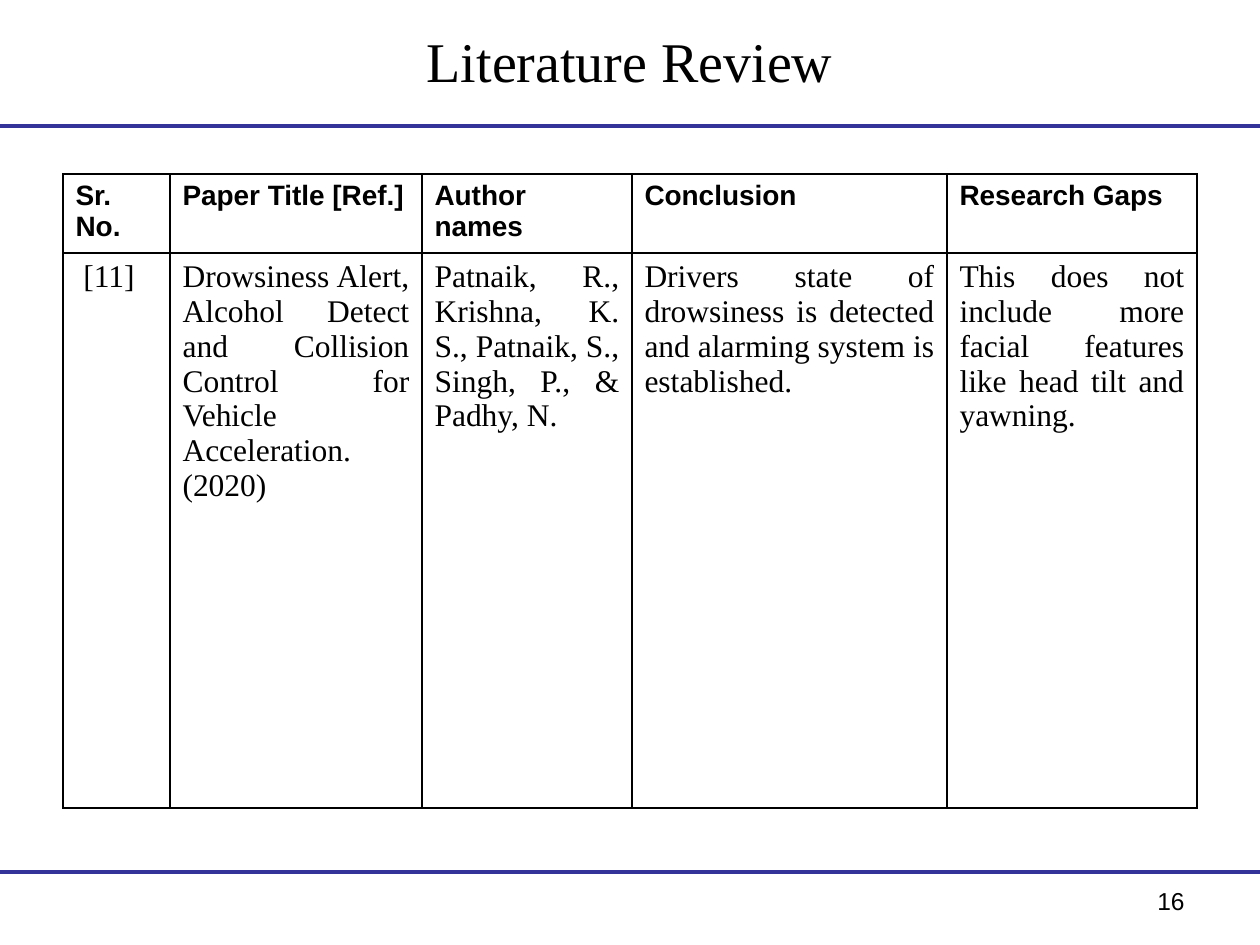
from lxml.etree import SubElement
from pptx import Presentation
from pptx.dml.color import RGBColor
from pptx.enum.shapes import MSO_CONNECTOR
from pptx.enum.text import MSO_ANCHOR, PP_ALIGN
from pptx.oxml.ns import qn
from pptx.util import Pt

PX = 914400 / 126
WIDE, HIGH = 1260, 945
BLACK = RGBColor(0x00, 0x00, 0x00)
WHITE = RGBColor(0xFF, 0xFF, 0xFF)
BLUE = RGBColor(0x33, 0x33, 0x99)
SERIF, SANS = "Times New Roman", "Arial"

COLS = [107, 252, 210, 315, 250]
ROWS = [79, 555]
HEADS = ["Sr. No.", "Paper Title [Ref.]", "Author names", "Conclusion", "Research Gaps"]
PAPER = [
    " [11]",
    "Drowsiness Alert, Alcohol Detect and Collision Control for Vehicle Acceleration. (2020)",
    "Patnaik, R., Krishna, K. S., Patnaik, S., Singh, P., & Padhy, N. ",
    "Drivers state of drowsiness is detected and alarming system is established.",
    "This does not include more facial features like head tilt and yawning.",
]


def emu(px):
    return round(px * PX)


def write(frame, text, size=18, font=SERIF, bold=False, align=PP_ALIGN.LEFT):
    frame.word_wrap = True
    para = frame.paragraphs[0]
    para.alignment = align
    run = para.add_run()
    run.text = text
    run.font.size = Pt(size)
    run.font.name = font
    run.font.bold = bold
    run.font.color.rgb = BLACK


class Page:
    def __init__(self, deck):
        self.slide = deck.slides.add_slide(deck.slide_layouts[5])
        self.shapes = self.slide.shapes

    def title(self, text, x, y, w, h):
        box = self.shapes.title
        box.left, box.top, box.width, box.height = map(emu, (x, y, w, h))
        box.text_frame.vertical_anchor = MSO_ANCHOR.MIDDLE
        write(box.text_frame, text, size=32, align=PP_ALIGN.CENTER)

    def rule(self, y):
        line = self.shapes.add_connector(
            MSO_CONNECTOR.STRAIGHT, 0, emu(y), emu(WIDE), emu(y))
        line.line.color.rgb = BLUE
        line.line.width = Pt(2.25)
        SubElement(line._element.spPr, qn("a:effectLst"))

    def label(self, text, x, y, w, h, **style):
        box = self.shapes.add_textbox(*map(emu, (x, y, w, h)))
        write(box.text_frame, text, **style)

    def border(self, cell):
        props = cell._tc.get_or_add_tcPr()
        for i, side in enumerate(("lnL", "lnR", "lnT", "lnB")):
            edge = props.makeelement(qn("a:" + side), {"w": str(Pt(1))})
            fill = SubElement(edge, qn("a:solidFill"))
            SubElement(fill, qn("a:srgbClr"), val=str(BLACK))
            props.insert(i, edge)

    def table(self, x, y):
        size = (sum(COLS), sum(ROWS))
        grid = self.shapes.add_table(
            len(ROWS), len(COLS), *map(emu, (x, y, *size))).table
        for col, w in zip(grid.columns, COLS):
            col.width = emu(w)
        for row, h in zip(grid.rows, ROWS):
            row.height = emu(h)
        for c, (head, body) in enumerate(zip(HEADS, PAPER)):
            top, low = grid.cell(0, c), grid.cell(1, c)
            write(top.text_frame, head, size=16, font=SANS, bold=True)
            write(low.text_frame, body,
                  align=PP_ALIGN.JUSTIFY if c else PP_ALIGN.LEFT)
            for cell in (top, low):
                cell.fill.solid()
                cell.fill.fore_color.rgb = WHITE
                self.border(cell)


def main():
    deck = Presentation()
    deck.slide_width, deck.slide_height = emu(WIDE), emu(HIGH)
    page = Page(deck)

    # Rules under the title and above the footer
    for y in (126, 872):
        page.rule(y)

    # Title, review table and page number
    page.title("Literature Review", 63, 16, 1134, 88)
    page.table(63, 174)
    page.label("16", 903, 880, 294, 65, size=14, font=SANS, align=PP_ALIGN.RIGHT)

    deck.save("out.pptx")


if __name__ == "__main__":
    main()
